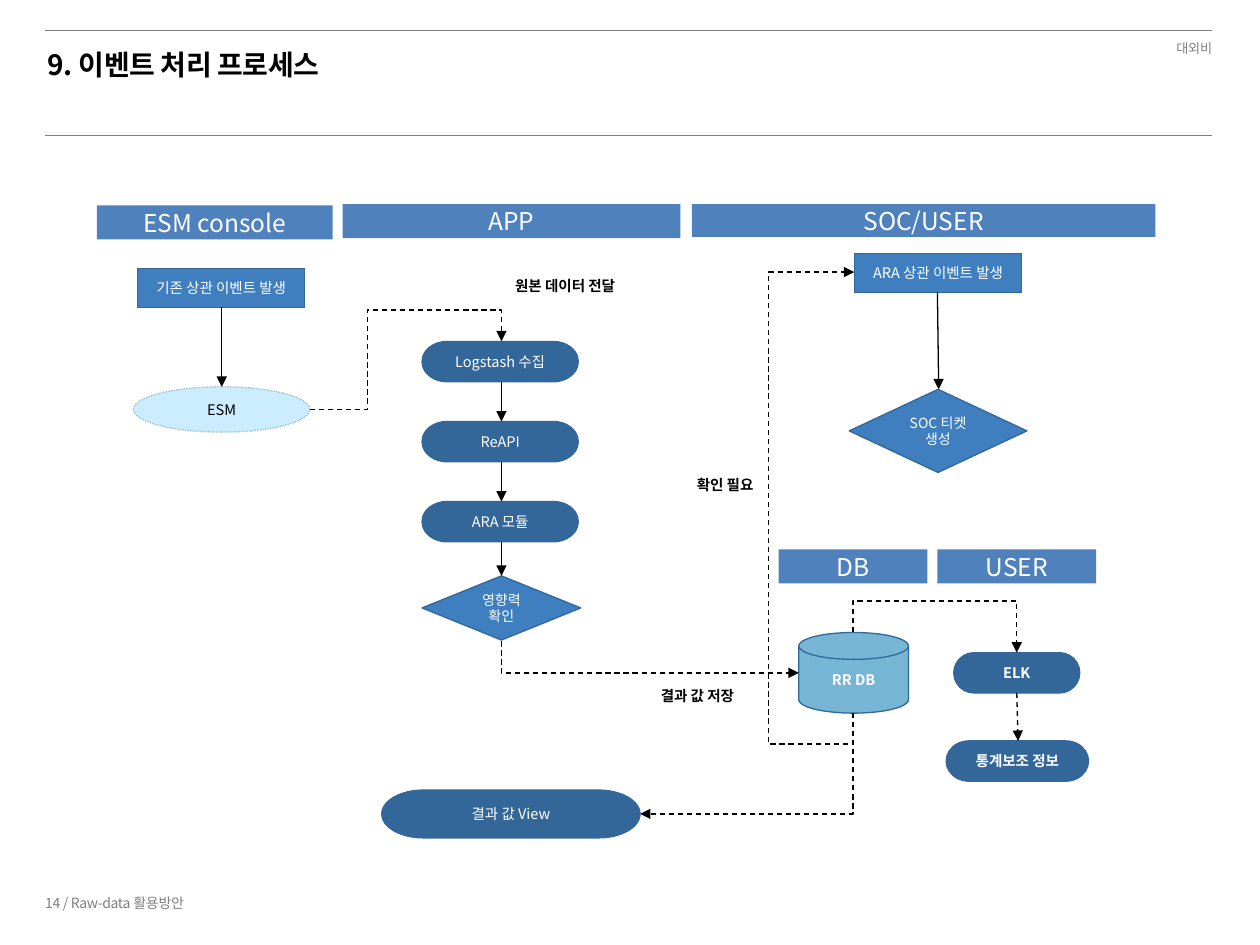
from dataclasses import dataclass
from math import cos, radians, sin

from lxml import etree
from pptx import Presentation, util as u
from pptx.dml.color import RGBColor
from pptx.enum import dml, shapes, text
from pptx.oxml.ns import qn

FONT = "Noto Sans CJK KR"
HUES = {"black": "000000", "white": "FFFFFF", "gray": "808080", "head": "4F81BD",
        "navy": "336699", "blue": "3F7FBF", "pale": "CCECFF", "dots": "9ABAD2",
        "disk": "76B5D4"}
KIND = shapes.MSO_SHAPE
PILL, GEM = KIND.FLOWCHART_TERMINATOR, KIND.FLOWCHART_DECISION
MID = text.MSO_ANCHOR.MIDDLE
LEFT, CENTER, RIGHT = text.PP_ALIGN.LEFT, text.PP_ALIGN.CENTER, text.PP_ALIGN.RIGHT
Point = tuple[float, float]
Box = tuple[float, float, float, float]


@dataclass
class Node:
    words: str
    box: Box
    kind: KIND = PILL
    fill: str = "navy"
    line: str | None = "navy"
    ink: str = "white"
    size: float = 8.3
    bold: bool = False
    pad: Point = (0.09, 0.04)


@dataclass
class Note:
    words: str
    box: Box
    size: float = 8.3
    ink: str = "black"
    bold: bool = True
    align: text.PP_ALIGN = CENTER
    anchor: text.MSO_ANCHOR = MID
    pad: Point = (0.09, 0.04)
    space: float | None = None
    track: int | None = None


@dataclass
class Link:
    start: Point
    end: Point
    dash: bool = False
    form: str | None = None
    turn: int = 0
    bends: tuple[float, ...] = ()


def hue(name: str) -> RGBColor:
    return RGBColor.from_string(HUES[name])


def write(shape, item: Node | Note, align=CENTER, anchor=MID, space=None, track=None) -> None:
    frame = shape.text_frame
    frame.word_wrap = True
    frame.vertical_anchor = anchor
    frame.margin_left = frame.margin_right = u.Inches(item.pad[0])
    frame.margin_top = frame.margin_bottom = u.Inches(item.pad[1])
    para = frame.paragraphs[0]
    para.alignment = align
    if space:
        para.line_spacing = space
    run = para.add_run()
    run.text = item.words
    font = run.font
    font.name, font.size, font.bold = FONT, u.Pt(item.size), item.bold
    font.color.rgb = hue(item.ink)
    props = run._r.get_or_add_rPr()
    etree.SubElement(props, qn("a:ea")).set("typeface", FONT)
    if track:
        props.set("spc", str(track))


def draw_node(slide, node: Node) -> None:
    shape = slide.shapes.add_shape(node.kind, *map(u.Inches, node.box))
    shape.shadow.inherit = False
    shape.fill.solid()
    shape.fill.fore_color.rgb = hue(node.fill)
    if node.line:
        shape.line.color.rgb = hue(node.line)
        shape.line.width = u.Pt(0.75)
        if node.line == "dots":
            shape.line.dash_style = dml.MSO_LINE.ROUND_DOT
    else:
        shape.line.fill.background()
    write(shape, node)


def draw_note(slide, note: Note) -> None:
    shape = slide.shapes.add_textbox(*map(u.Inches, note.box))
    write(shape, note, note.align, note.anchor, note.space, note.track)


def draw_line(slide, start: Point, end: Point, ink: str, width: float, elbow=False):
    kind = shapes.MSO_CONNECTOR.ELBOW if elbow else shapes.MSO_CONNECTOR.STRAIGHT
    line = slide.shapes.add_connector(kind, *map(u.Inches, (*start, *end)))
    line.line.color.rgb = hue(ink)
    line.line.width = u.Pt(width)
    etree.SubElement(line._element.spPr, qn("a:effectLst"))
    return line


def draw_link(slide, link: Link) -> None:
    # Undo the turn about the midpoint to find the unrotated ends
    (ax, ay), (bx, by) = link.start, link.end
    mx, my, dx, dy = (ax + bx) / 2, (ay + by) / 2, (bx - ax) / 2, (by - ay) / 2
    c, s = cos(radians(link.turn)), sin(radians(link.turn))
    px, py = dx * c + dy * s, dy * c - dx * s
    line = draw_line(slide, (mx - px, my - py), (mx + px, my + py),
                     "black", 0.75, bool(link.form))
    line.rotation = link.turn
    props = line._element.spPr
    props.find(qn("a:xfrm")).set("rot", str(link.turn * 60000))
    if link.dash:
        line.line.dash_style = dml.MSO_LINE.DASH
    if link.form:
        geom = props.find(qn("a:prstGeom"))
        geom.set("prst", link.form)
        guides = geom.find(qn("a:avLst"))
        if guides is None:
            guides = etree.SubElement(geom, qn("a:avLst"))
        for i, bend in enumerate(link.bends, 1):
            guide = etree.SubElement(guides, qn("a:gd"))
            guide.set("name", f"adj{i}" if len(link.bends) > 1 else "adj1")
            guide.set("fmla", f"val {round(bend * 100000)}")
    tail = etree.SubElement(props.find(qn("a:ln")), qn("a:tailEnd"))
    tail.set("type", "triangle")


# Column heads
HEADS = [Node(words, box, KIND.RECTANGLE, "head", None, size=14, pad=(0.1, 0.05))
         for words, box in [
             ("ESM console", (0.77, 1.63, 1.87, 0.27)),
             ("APP", (2.72, 1.62, 2.68, 0.27)),
             ("SOC/USER", (5.49, 1.62, 3.68, 0.26)),
             ("DB", (6.18, 4.36, 1.18, 0.27)),
             ("USER", (7.44, 4.36, 1.26, 0.27))]]

# Evenly spaced app steps
TOP, STEP, TALL = 2.71, 0.635, 0.32
STEPS = [Node(words, (3.35, TOP + i * STEP, 1.24, TALL))
         for i, words in enumerate(["Logstash 수집", "ReAPI", "ARA 모듈"])]

# Other flow nodes
NODES = [
    Node("기존 상관 이벤트 발생", (1.09, 2.13, 1.33, 0.31), KIND.RECTANGLE, "blue"),
    Node("ESM", (1.06, 3.07, 1.4, 0.36), KIND.OVAL, "pale", "dots", "black", pad=(0.05, 0.04)),
    Node("영향력 확인", (3.35, 4.57, 1.26, 0.51), GEM, "blue", size=8),
    Node("ARA 상관 이벤트 발생", (6.78, 2.01, 1.33, 0.31), KIND.RECTANGLE, "blue"),
    Node("SOC 티켓 생성", (6.74, 3.09, 1.41, 0.66), GEM, "blue", size=8),
    Node("RR DB", (6.34, 5.02, 0.87, 0.64), KIND.FLOWCHART_MAGNETIC_DISK, "disk", bold=True),
    Node("ELK", (7.57, 5.18, 1, TALL), bold=True),
    Node("통계보조 정보", (7.51, 5.88, 1.13, TALL), bold=True),
    Node("결과 값 View", (3.03, 6.27, 2.05, 0.38)),
]

# Arrows between nodes
LINKS = [Link((3.98, TOP + i * STEP + TALL), (3.98, end))
         for i, end in enumerate([TOP + STEP, TOP + 2 * STEP, 4.57])] + [
    Link((1.76, 2.44), (1.76, 3.07)),
    Link((7.44, 2.32), (7.45, 3.09)),
    Link((8.07, 5.5), (8.08, 5.88), True),
    Link((2.46, 3.25), (3.98, 2.71), True, "bentConnector4", 0, (0.3, 1.46)),
    Link((6.77, 5.66), (6.78, 2.16), True, "bentConnector4", 90, (-0.07, -68)),
    Link((3.98, 5.09), (6.34, 5.34), True, "bentConnector2", 270),
    Link((6.77, 5.02), (8.07, 5.18), True, "bentConnector3", 270, (-1.57,)),
    Link((6.77, 5.66), (5.08, 6.46), True, "bentConnector2", 90),
]

# Title, page marks and arrow labels
NOTES = [
    Note("9. 이벤트 처리 프로세스", (0.28, 0.33, 9.45, 0.37), 16, align=LEFT,
         anchor=text.MSO_ANCHOR.TOP, pad=(0.1, 0.05), track=-20),
    Note("대외비", (8.71, 0.22, 1.02, 0.27), 7.5, "gray", False, RIGHT,
         text.MSO_ANCHOR.TOP, (0.11, 0.05), 1.4, -20),
    Note("14 / Raw-data 활용방안", (0.26, 7.03, 3.04, 0.27), 8, "gray", False, LEFT,
         pad=(0.1, 0.05), track=-20),
    Note("원본 데이터 전달", (3.9, 2.16, 1.17, 0.21)),
    Note("확인 필요", (5.29, 3.76, 0.93, 0.18)),
    Note("결과 값 저장", (5.07, 5.43, 0.93, 0.18)),
]


def main() -> None:
    deck = Presentation()
    deck.slide_width, deck.slide_height = u.Inches(10), u.Inches(7.5)
    slide = deck.slides.add_slide(deck.slide_layouts[6])
    # Header rules
    for y in (0.24, 1.07):
        draw_line(slide, (0.36, y), (9.62, y), "gray", 0.25)
    for node in HEADS + STEPS + NODES:
        draw_node(slide, node)
    for link in LINKS:
        draw_link(slide, link)
    for note in NOTES:
        draw_note(slide, note)
    deck.save("out.pptx")


if __name__ == "__main__":
    main()
